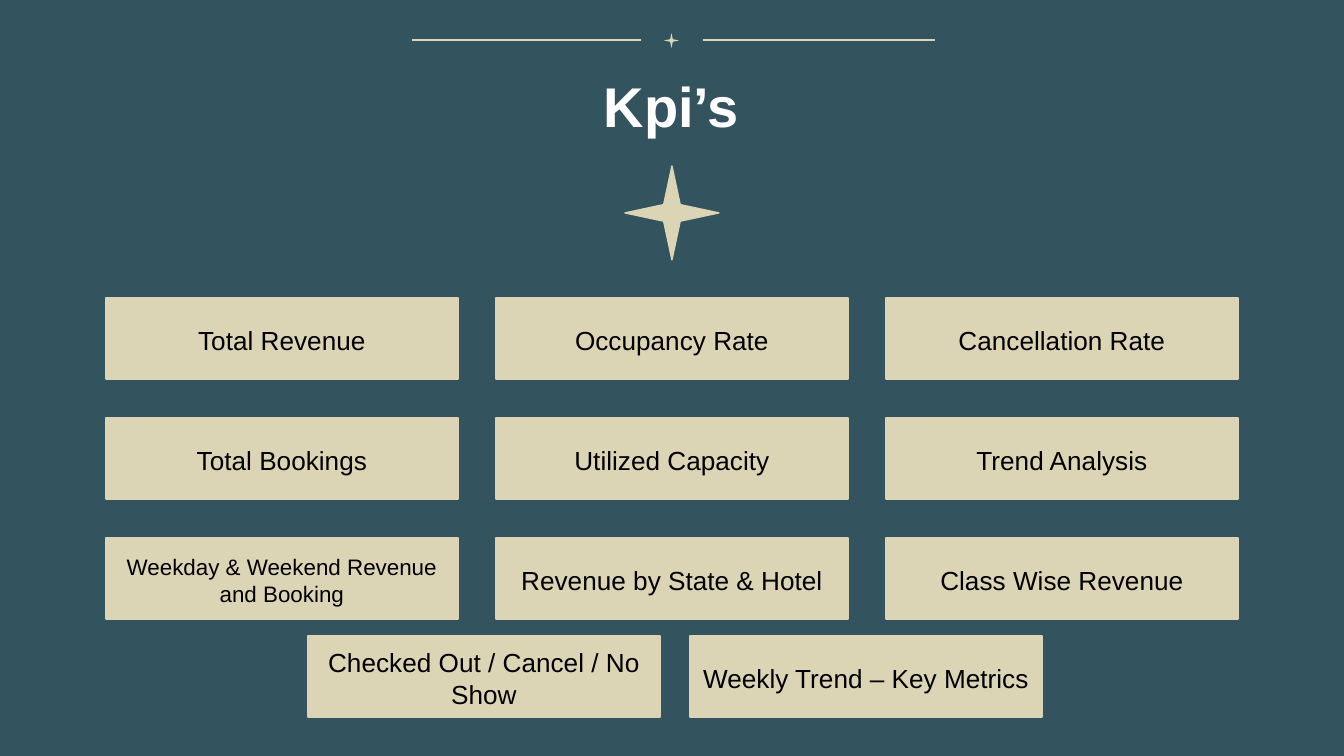
from dataclasses import dataclass

from lxml.etree import SubElement
from pptx import Presentation
from pptx.dml.color import RGBColor
from pptx.enum.shapes import MSO_CONNECTOR, MSO_SHAPE
from pptx.enum.text import MSO_ANCHOR, PP_ALIGN
from pptx.oxml.ns import qn
from pptx.util import Emu, Pt

EMU_PER_PX = 914400 / 134.4


def px(length):
    return Emu(round(length * EMU_PER_PX))


@dataclass(frozen=True)
class Theme:
    background: RGBColor = RGBColor(0x33, 0x53, 0x5F)
    sand: RGBColor = RGBColor(0xDB, 0xD5, 0xB5)
    title_color: RGBColor = RGBColor(0xFF, 0xFF, 0xFF)
    label_color: RGBColor = RGBColor(0, 0, 0)
    font: str = "Arial"
    title_size: float = 30
    label_size: float = 14
    small_size: float = 12
    line_width: float = 0.75


class SlideBuilder:
    def __init__(self, page, theme):
        self.page = page
        self.theme = theme
        fill = page.background.fill
        fill.solid()
        fill.fore_color.rgb = theme.background

    def label(self, shape, text, size, color, bold=False,
              anchor=MSO_ANCHOR.MIDDLE, inset_top=16):
        frame = shape.text_frame
        frame_format = {
            "word_wrap": True, "vertical_anchor": anchor,
            "margin_left": px(13), "margin_right": px(13),
            "margin_top": px(inset_top), "margin_bottom": px(13),
        }
        for name, value in frame_format.items():
            setattr(frame, name, value)
        para = frame.paragraphs[0]
        para.alignment = PP_ALIGN.CENTER
        span = para.add_run()
        span.text = text
        for name, value in {"name": self.theme.font, "size": Pt(size), "bold": bold}.items():
            setattr(span.font, name, value)
        span.font.color.rgb = color

    def shape(self, kind, left, top, width, height, outlined=True):
        shape = self.page.shapes.add_shape(kind, px(left), px(top), px(width), px(height))
        shape.shadow.inherit = False
        shape.fill.solid()
        shape.fill.fore_color.rgb = self.theme.sand
        if outlined:
            shape.line.color.rgb = self.theme.sand
            shape.line.width = Pt(self.theme.line_width)
        else:
            shape.line.fill.background()
        return shape

    def star(self, left, top, side, outlined=True):
        star = self.shape(MSO_SHAPE.STAR_4_POINT, left, top, side, side, outlined)
        star.adjustments[0] = 0.125

    def rule(self, start, end, y):
        rule = self.page.shapes.add_connector(
            MSO_CONNECTOR.STRAIGHT, px(start), px(y), px(end), px(y))
        rule.line.color.rgb = self.theme.sand
        rule.line.width = Pt(self.theme.line_width)
        SubElement(rule._element.spPr, qn("a:effectLst"))

    def title(self, text, left, top, width, height):
        box = self.page.shapes.add_textbox(px(left), px(top), px(width), px(height))
        self.label(box, text, self.theme.title_size, self.theme.title_color,
                   bold=True, anchor=MSO_ANCHOR.TOP, inset_top=13)

    def card(self, text, left, top, size):
        card = self.shape(MSO_SHAPE.RECTANGLE, left, top, 352, 81)
        self.label(card, text, size, self.theme.label_color)


# Each row: left of first card, top, horizontal step, labels
KPI_ROWS = [
    (106, 298, 390, ["Total Revenue", "Occupancy Rate", "Cancellation Rate"]),
    (106, 418, 390, ["Total Bookings", "Utilized Capacity", "Trend Analysis"]),
    (106, 538, 390, ["Weekday & Weekend Revenue and Booking",
                     "Revenue by State & Hotel", "Class Wise Revenue"]),
    (308, 636, 382, ["Checked Out / Cancel / No Show", "Weekly Trend – Key Metrics"]),
]
LONG_LABEL = 30


def main():
    deck = Presentation()
    deck.slide_width, deck.slide_height = px(1344), px(756)
    theme = Theme()
    builder = SlideBuilder(deck.slides.add_slide(deck.slide_layouts[6]), theme)

    builder.star(664, 33, 15, outlined=False)
    for start, end in [(641, 412), (935, 703)]:
        builder.rule(start, end, 40)
    builder.title("Kpi’s", 360, 59, 622, 81)
    builder.star(625, 166, 94)

    for left, top, step, labels in KPI_ROWS:
        for column, label in enumerate(labels):
            size = theme.small_size if len(label) > LONG_LABEL else theme.label_size
            builder.card(label, left + column * step, top, size)

    deck.save("out.pptx")


if __name__ == "__main__":
    main()
